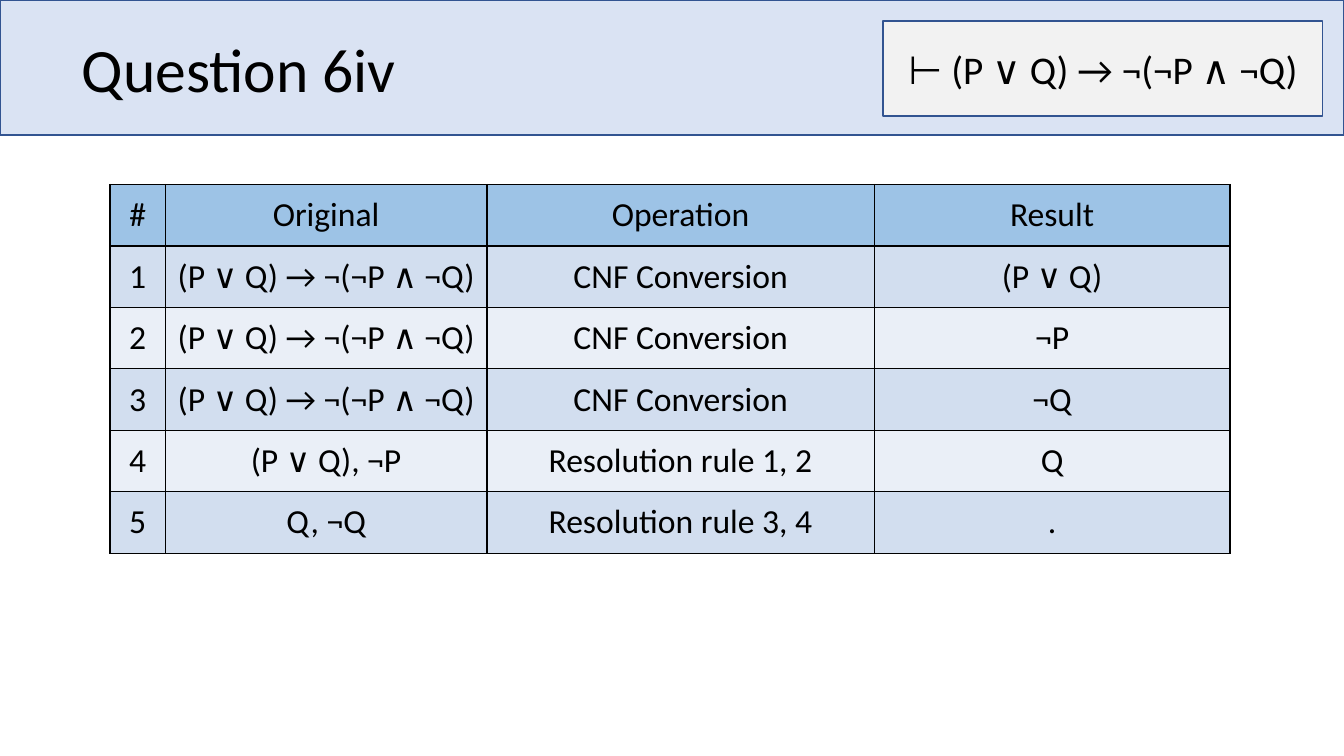
from dataclasses import dataclass

from lxml.etree import SubElement
from pptx import Presentation
from pptx.dml.color import RGBColor
from pptx.enum.shapes import MSO_SHAPE as Kind
from pptx.enum.text import MSO_ANCHOR as Anchor, MSO_AUTO_SIZE as Fit, PP_ALIGN as Align
from pptx.oxml.ns import qn
from pptx.shapes.autoshape import Shape
from pptx.slide import Slide
from pptx.table import _Cell as Cell
from pptx.text.text import TextFrame
from pptx.util import Inches, Pt

HUES = {
    "ink": "000000",
    "band": "DAE3F3",
    "goal": "F2F2F2",
    "edge": "325491",
    "head": "9DC3E6",
    "odd": "D2DEEF",
    "even": "EAEFF7",
}
GOAL = "(P ∨ Q) → ¬(¬P ∧ ¬Q)"
CNF = "CNF Conversion"
WIDTHS = (0.55, 3.19, 3.84, 3.53)
HEIGHT = 0.61


@dataclass
class Panel:
    left: float
    top: float
    width: float
    height: float
    hue: str


@dataclass
class Step:
    source: str
    rule: str
    result: str


BAND = Panel(0, 0, 13.33, 1.34, "band")
CLAIM = Panel(8.76, 0.21, 4.36, 0.94, "goal")
STEPS = [
    Step(GOAL, CNF, "(P ∨ Q)"),
    Step(GOAL, CNF, "¬P"),
    Step(GOAL, CNF, "¬Q"),
    Step("(P ∨ Q), ¬P", "Resolution rule 1, 2", "Q"),
    Step("Q, ¬Q", "Resolution rule 3, 4", "."),
]


def tint(name: str) -> RGBColor:
    return RGBColor.from_string(HUES[name])


def write(frame: TextFrame, text: str, size: int, align: Align) -> None:
    para = frame.paragraphs[0]
    para.alignment = align
    run = para.add_run()
    run.text = text
    run.font.size = Pt(size)
    run.font.name = "Calibri"
    run.font.color.rgb = tint("ink")


def draw(slide: Slide, panel: Panel) -> Shape:
    shape = slide.shapes.add_shape(
        Kind.RECTANGLE, Inches(panel.left), Inches(panel.top),
        Inches(panel.width), Inches(panel.height))
    shape.shadow.inherit = False
    shape.fill.solid()
    shape.fill.fore_color.rgb = tint(panel.hue)
    shape.line.color.rgb = tint("edge")
    shape.line.width = Pt(1)
    return shape


def frame_cell(cell: Cell) -> None:
    props = cell._tc.get_or_add_tcPr()
    for side in ("lnL", "lnR", "lnT", "lnB"):
        line = SubElement(props, qn(f"a:{side}"), w=str(Pt(1)))
        fill = SubElement(line, qn("a:solidFill"))
        SubElement(fill, qn("a:srgbClr"), val=HUES["ink"])


def fill_cell(cell: Cell, text: str, hue: str) -> None:
    frame_cell(cell)
    cell.fill.solid()
    cell.fill.fore_color.rgb = tint(hue)
    cell.vertical_anchor = Anchor.MIDDLE
    write(cell.text_frame, text, 24, Align.CENTER)


def add_proof(slide: Slide) -> None:
    rows = [("#", "Original", "Operation", "Result")]
    rows += [(str(n), s.source, s.rule, s.result) for n, s in enumerate(STEPS, 1)]
    table = slide.shapes.add_table(
        len(rows), len(WIDTHS), Inches(1.09), Inches(1.83),
        Inches(sum(WIDTHS)), Inches(HEIGHT * len(rows))).table
    for col, width in zip(table.columns, WIDTHS):
        col.width = Inches(width)
    for r, row in enumerate(rows):
        table.rows[r].height = Inches(HEIGHT)
        hue = "head" if r == 0 else "odd" if r % 2 else "even"
        for c, text in enumerate(row):
            fill_cell(table.cell(r, c), text, hue)


def add_title(slide: Slide) -> None:
    title = slide.shapes.title
    title.left, title.top = Inches(0.71), Inches(-0.01)
    title.width, title.height = Inches(11.5), Inches(1.45)
    frame = title.text_frame
    frame.word_wrap = True
    frame.auto_size = Fit.NONE
    frame.vertical_anchor = Anchor.MIDDLE
    frame.paragraphs[0].line_spacing = 0.9
    write(frame, "Question 6iv", 44, Align.LEFT)


def main() -> None:
    deck = Presentation()
    deck.slide_width, deck.slide_height = Inches(13.33), Inches(7.5)
    slide = deck.slides.add_slide(deck.slide_layouts[5])
    add_title(slide)
    band = draw(slide, BAND)
    slide.shapes.title.element.addprevious(band.element)
    claim = draw(slide, CLAIM).text_frame
    claim.word_wrap = True
    claim.vertical_anchor = Anchor.MIDDLE
    write(claim, f"⊢ {GOAL}", 28, Align.CENTER)
    add_proof(slide)
    deck.save("out.pptx")


if __name__ == "__main__":
    main()
